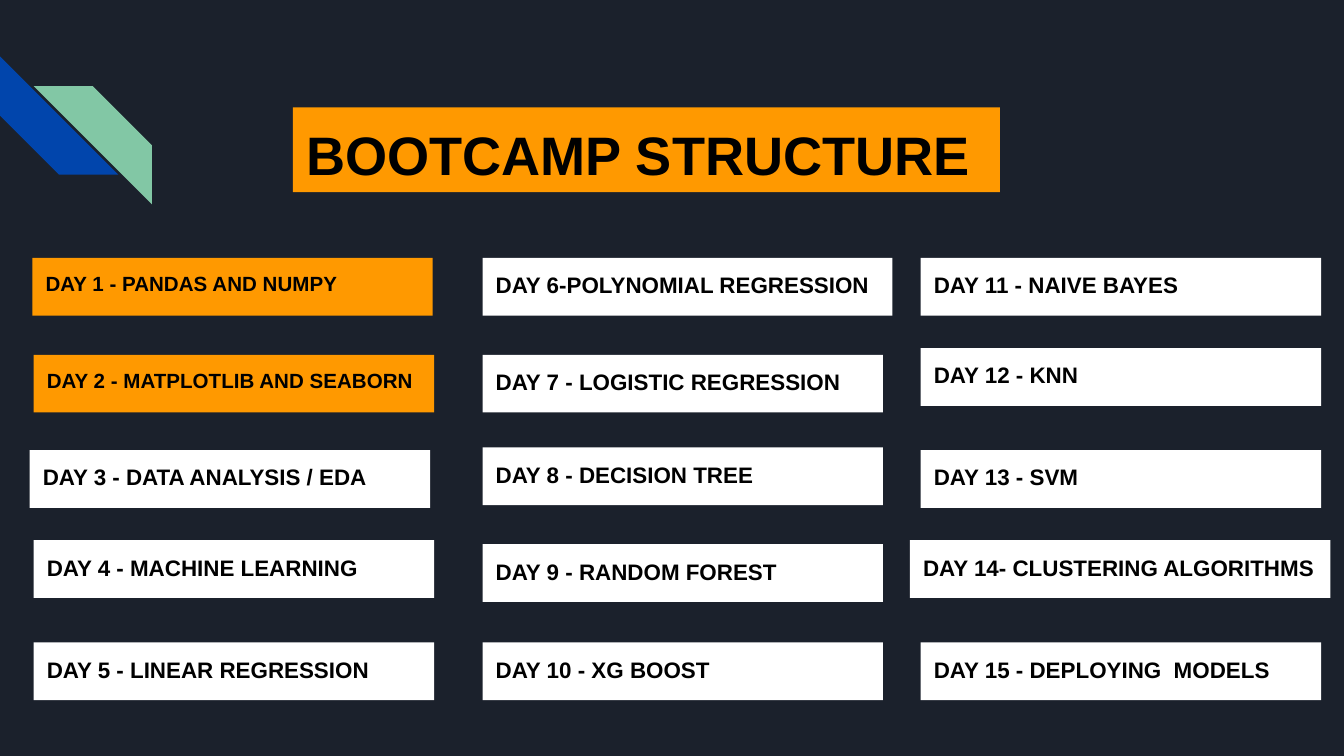
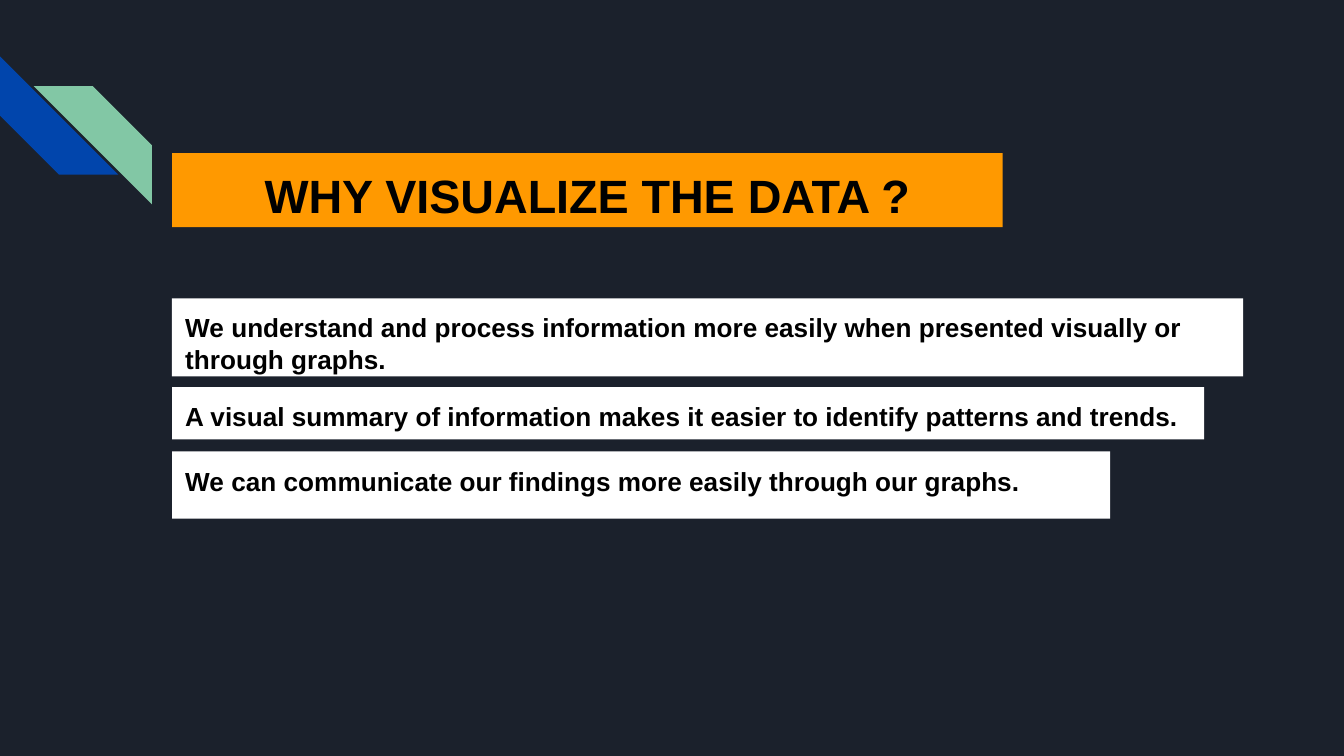
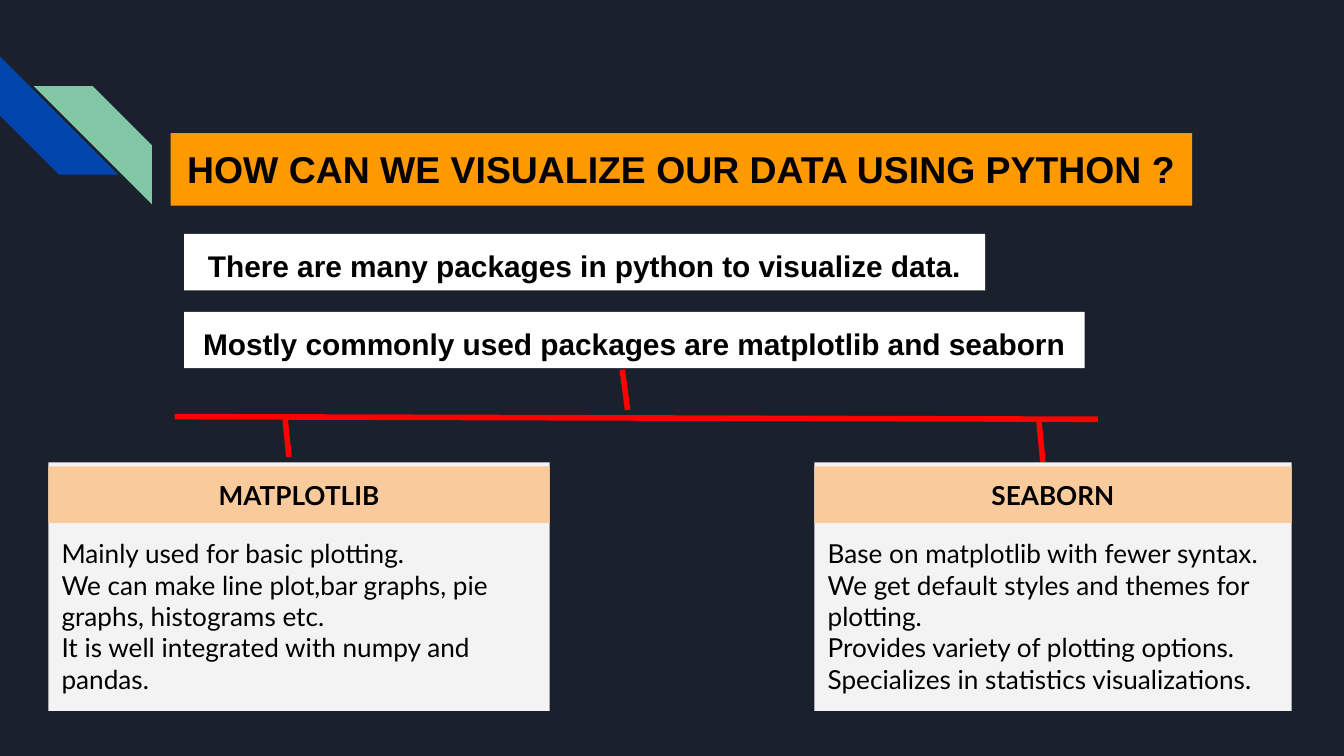
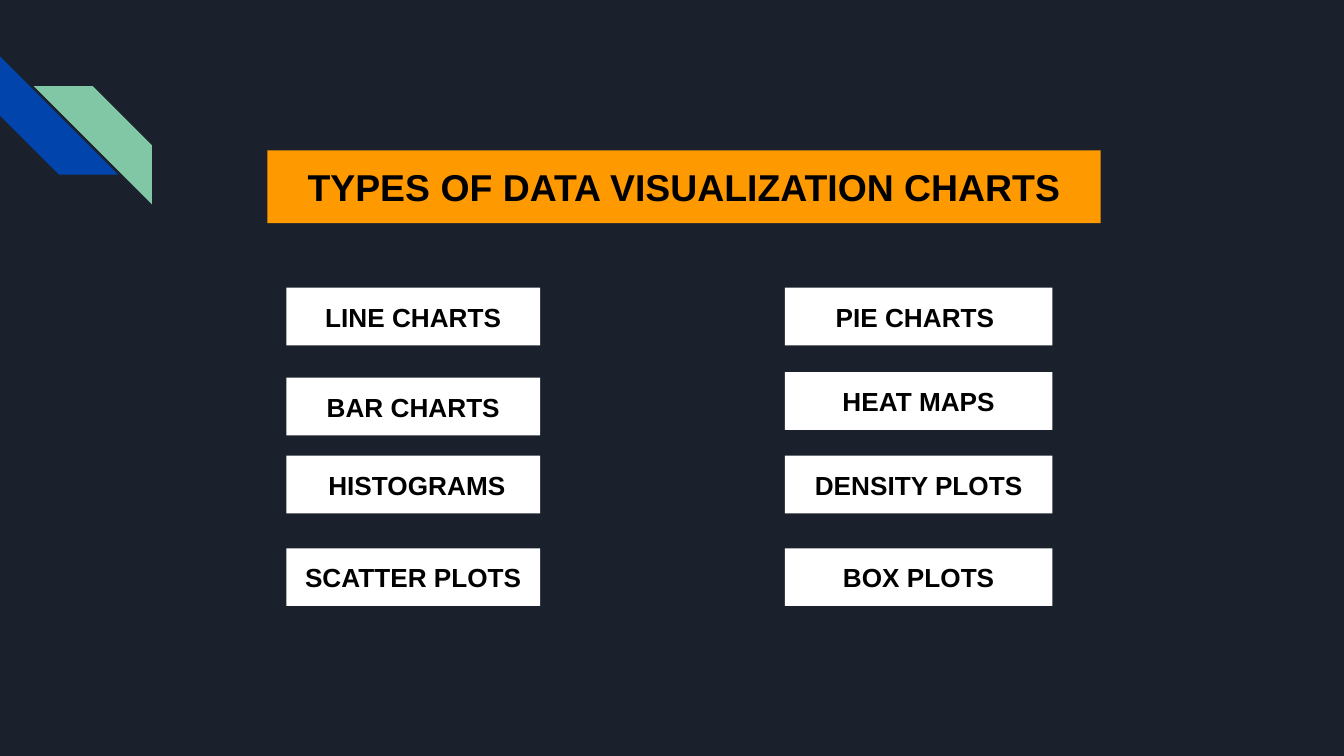
from pptx import Presentation
from pptx.dml.color import RGBColor as RGB
from pptx.enum.shapes import MSO_CONNECTOR as LINK, MSO_SHAPE as SHAPE
from pptx.enum.text import MSO_ANCHOR as ANCHOR, PP_ALIGN as ALIGN
from pptx.oxml.ns import qn
from pptx.util import Inches, Pt
from lxml import etree

NAVY = RGB(0x1B, 0x21, 0x2C)
BLUE = RGB(0x01, 0x45, 0xAC)
GREEN = RGB(0x82, 0xC7, 0xA5)
ORANGE = RGB(0xFF, 0x99, 0x00)
PEACH = RGB(0xF9, 0xCB, 0x9C)
GREY = RGB(0xF3, 0xF3, 0xF3)
WHITE = RGB(0xFF, 0xFF, 0xFF)
BLACK = RGB(0x00, 0x00, 0x00)
RED = RGB(0xFF, 0x00, 0x00)

WIDE = 10
HIGH = WIDE * 9 / 16
PAD = 0.1
BAR = 0.43  # height of a one-line label
LEFT, MID = ALIGN.LEFT, ALIGN.CENTER

DAYS = [
    (0.25, [
        (1.92, "DAY 1 - PANDAS AND NUMPY"),
        (2.64, "DAY 2 - MATPLOTLIB AND SEABORN"),
        (3.35, "DAY 3 - DATA ANALYSIS / EDA"),
        (4.02, "DAY 4 - MACHINE LEARNING"),
        (4.78, "DAY 5 - LINEAR REGRESSION"),
    ]),
    (3.59, [
        (1.92, "DAY 6-POLYNOMIAL REGRESSION"),
        (2.64, "DAY 7 - LOGISTIC REGRESSION"),
        (3.33, "DAY 8 - DECISION TREE"),
        (4.05, "DAY 9 - RANDOM FOREST"),
        (4.78, "DAY 10 - XG BOOST"),
    ]),
    (6.85, [
        (1.92, "DAY 11 - NAIVE BAYES"),
        (2.59, "DAY 12 - KNN"),
        (3.35, "DAY 13 - SVM"),
        (4.02, "DAY 14- CLUSTERING ALGORITHMS"),
        (4.78, "DAY 15 - DEPLOYING  MODELS"),
    ]),
]
# Days whose label is shifted or widened: day -> (shift, width)
ODD = {1: (-0.01, 2.98), 3: (-0.03, 2.98), 6: (0, 3.05), 14: (-0.08, 3.13)}
DONE = 2  # days already taught

REASONS = [
    ((1.28, 2.22, 7.97, 0.58),
     "We understand and process information more easily when presented "
     "visually or through graphs."),
    ((1.28, 2.88, 7.68, 0.39),
     "A visual summary of information makes it easier to identify patterns "
     "and trends."),
    ((1.28, 3.36, 6.98, 0.5),
     "We can communicate our findings more easily through our graphs."),
]

PLOTS = [
    (2.13, 1.89, [
        (2.14, "LINE CHARTS"),
        (2.81, "BAR CHARTS"),
        (3.39, " HISTOGRAMS"),
        (4.08, "SCATTER PLOTS"),
    ]),
    (5.84, 1.99, [
        (2.14, "PIE CHARTS "),
        (2.77, "HEAT MAPS"),
        (3.39, "DENSITY PLOTS"),
        (4.08, "BOX PLOTS"),
    ]),
]


def shape(slide, kind, box, fill):
    part = slide.shapes.add_shape(kind, *map(Inches, box))
    part.shadow.inherit = False
    part.fill.solid()
    part.fill.fore_color.rgb = fill
    part.line.fill.background()
    return part


def label(slide, box, lines, fill=WHITE, size=14, align=MID, face="Arial",
          bold=True, top=PAD):
    """Add a filled rectangle with one paragraph per line of text."""
    frame = shape(slide, SHAPE.RECTANGLE, box, fill).text_frame
    style = {
        "word_wrap": True,
        "vertical_anchor": ANCHOR.TOP,
        "margin_left": Inches(PAD),
        "margin_right": Inches(PAD),
        "margin_top": Inches(top),
        "margin_bottom": Inches(PAD),
    }
    for key, value in style.items():
        setattr(frame, key, value)
    for i, line in enumerate(lines):
        para = frame.add_paragraph() if i else frame.paragraphs[0]
        para.alignment = align
        run = para.add_run()
        run.text = line
        font = {"name": face, "size": Pt(size), "bold": bold}
        for key, value in font.items():
            setattr(run.font, key, value)
        run.font.color.rgb = BLACK


def title(slide, box, text, size, align=MID):
    label(slide, box, [text], ORANGE, size, align)


def stripes(slide, x, y, side=0.88):
    """Add the pair of corner stripes."""
    blue = shape(slide, SHAPE.DIAGONAL_STRIPE, (x, y, side, side), BLUE)
    blue.rotation = 270
    green = shape(slide, SHAPE.DIAGONAL_STRIPE,
                  (x + 0.25, y + 0.22, side, side), GREEN)
    green.element.spPr.find(qn("a:xfrm")).set("flipH", "1")


def link(slide, *ends):
    line = slide.shapes.add_connector(LINK.STRAIGHT, *map(Inches, ends))
    line.line.color.rgb = RED
    line.line.width = Pt(3)
    etree.SubElement(line.element.spPr, qn("a:effectLst"))


def tree(slide, x, y):
    """Draw the stem, the crossbar and the two branches down to the cards."""
    for x1, y1, x2, y2 in [
        (0, 0.35, 6.87, 0.37),
        (3.33, 0, 3.37, 0.3),
        (6.43, 0.38, 6.46, 0.69),
        (0.82, 0.35, 0.85, 0.65),
    ]:
        link(slide, x + x1, y + y1, x + x2, y + y2)


def card(slide, box, head, lines):
    x, y, w, _ = box
    label(slide, box, lines, GREY, align=LEFT, face="Lato", bold=False,
          top=0.56)
    label(slide, (x, y + 0.03, w, 0.42), [head], PEACH, face="Lato")


def plan(slide):
    title(slide, (2.18, 0.8, 5.26, 0.63), "BOOTCAMP STRUCTURE", 29, LEFT)
    day = 0
    for x, items in DAYS:
        for y, text in items:
            day += 1
            shift, wide = ODD.get(day, (0, 2.98))
            fill, size = (ORANGE, 11) if day <= DONE else (WHITE, 12)
            label(slide, (x + shift, y, wide, BAR), [text], fill, size, LEFT)


def why(slide):
    title(slide, (1.28, 1.14, 6.18, 0.55), "WHY VISUALIZE THE DATA ?", 25)
    for box, text in REASONS:
        label(slide, box, [text], align=LEFT)


def tools(slide):
    title(slide, (1.27, 0.99, 7.6, 0.54),
          "HOW CAN WE VISUALIZE OUR DATA USING PYTHON ?", 20)
    label(slide, (1.37, 1.74, 5.96, 0.42),
          ["There are many packages in python to visualize data."], size=16)
    label(slide, (1.37, 2.32, 6.7, 0.42),
          ["Mostly commonly used packages are matplotlib and seaborn"],
          size=16)
    tree(slide, 1.3, 2.75)
    card(slide, (0.36, 3.44, 3.73, 1.85), "MATPLOTLIB", [
        "Mainly used for basic plotting.",
        "We can make line plot,bar graphs, pie graphs, histograms etc.",
        "It is well integrated with numpy and pandas.",
    ])
    card(slide, (6.06, 3.44, 3.55, 1.85), "SEABORN", [
        "Base on matplotlib with fewer syntax.",
        "We get default styles and themes for plotting.",
        "Provides variety of plotting options.",
        "Specializes in statistics visualizations.",
    ])


def kinds(slide):
    """Fill the slide that lists the chart types."""
    title(slide, (1.99, 1.12, 6.2, 0.54),
          "TYPES OF DATA VISUALIZATION CHARTS", 20)
    for x, wide, items in PLOTS:
        for y, text in items:
            label(slide, (x, y, wide, BAR), [text])


def main():
    deck = Presentation()
    deck.slide_width, deck.slide_height = Inches(WIDE), Inches(HIGH)
    for build in (plan, why, tools, kinds):
        slide = deck.slides.add_slide(deck.slide_layouts[6])
        slide.background.fill.solid()
        slide.background.fill.fore_color.rgb = NAVY
        stripes(slide, 0, 0.42)
        build(slide)
    deck.save("out.pptx")


if __name__ == "__main__":
    main()
